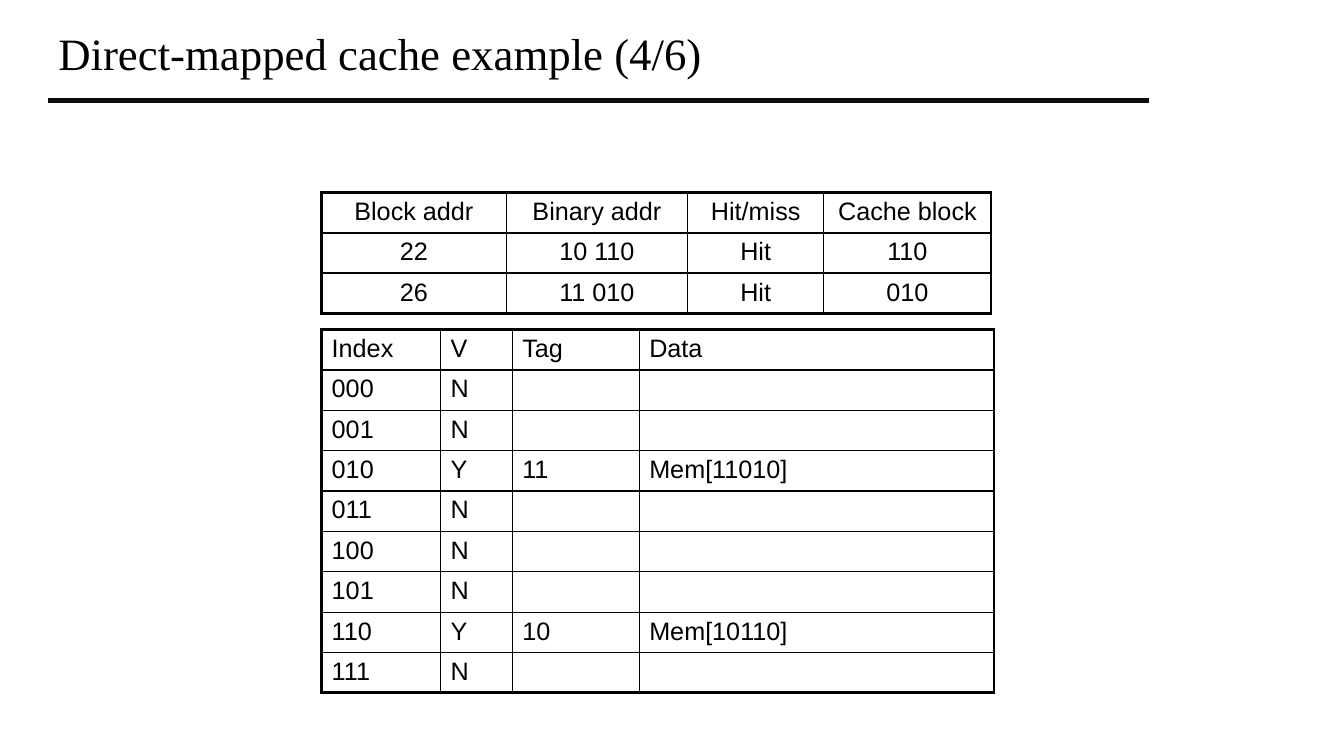
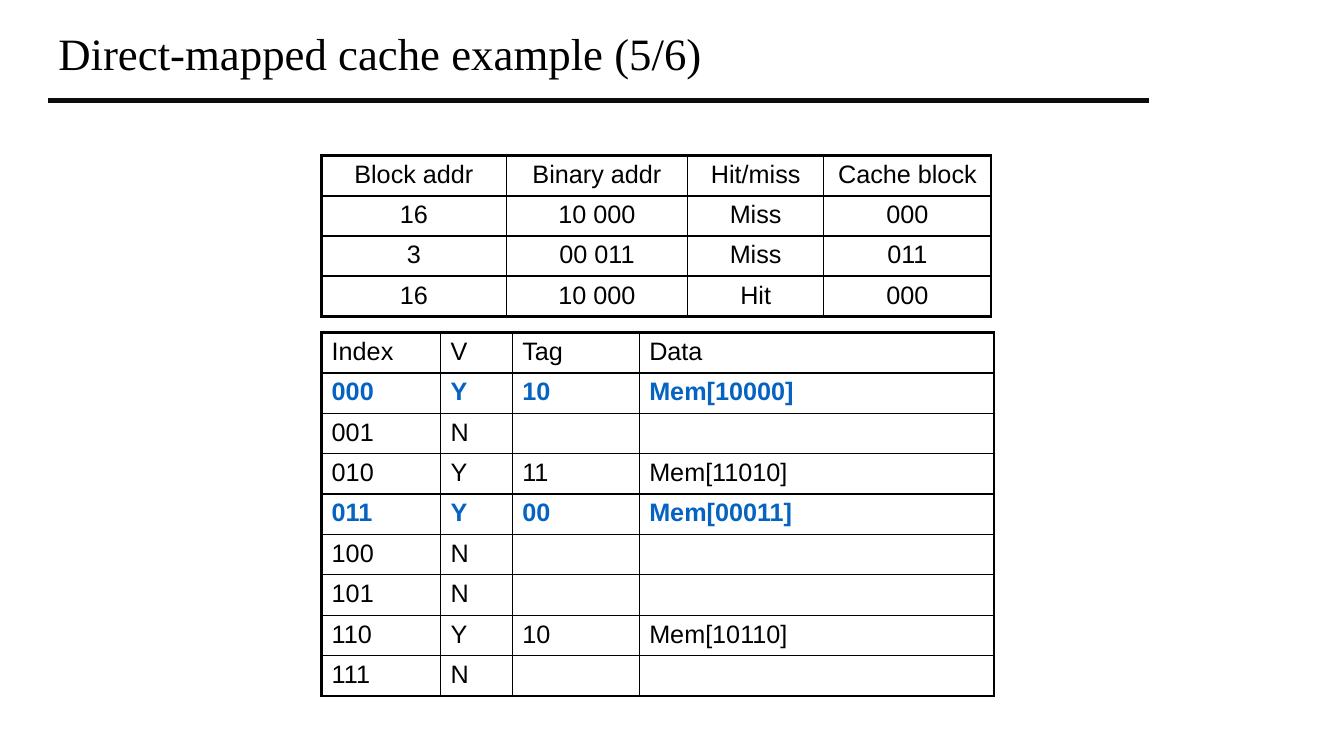
from dataclasses import dataclass

from lxml.etree import SubElement as Sub
from pptx import Presentation
from pptx.dml.color import RGBColor as RGB
from pptx.enum.shapes import MSO_CONNECTOR as Conn
from pptx.enum.text import MSO_ANCHOR as Anchor, PP_ALIGN as Align
from pptx.oxml.ns import qn
from pptx.util import Inches, Pt


@dataclass(frozen=True)
class Theme:
    ink: str = "000000"
    rule: str = "0C0C0C"
    mark: str = "0563C1"
    head: str = "Times New Roman"
    body: str = "Arial"
    head_size: int = 32
    body_size: int = 18
    thick: float = 2.25
    mid: float = 1.5
    thin: float = 1
    rule_width: float = 3.75


THEME = Theme()

# Content
ADDR_HEAD = ("Block addr", "Binary addr", "Hit/miss", "Cache block")
CACHE_HEAD = ("Index", "V", "Tag", "Data")
SLIDES = [
    {
        "title": "Direct-mapped cache example (4/6)",
        "addr_top": 1.91,
        "addr": [("22", "10 110", "Hit", "110"),
                 ("26", "11 010", "Hit", "010")],
        "cache_top": 3.27,
        "cache": {"010": ("11", "Mem[11010]"),
                  "110": ("10", "Mem[10110]")},
        "new": (),
    },
    {
        "title": "Direct-mapped cache example (5/6)",
        "addr_top": 1.54,
        "addr": [("16", "10 000", "Miss", "000"),
                 ("3", "00 011", "Miss", "011"),
                 ("16", "10 000", "Hit", "000")],
        "cache_top": 3.3,
        "cache": {"000": ("10", "Mem[10000]"),
                  "010": ("11", "Mem[11010]"),
                  "011": ("00", "Mem[00011]"),
                  "110": ("10", "Mem[10110]")},
        "new": ("000", "011"),
    },
]

# Layout, in inches
LEFT, ROW = 3.19, 0.4
ADDR_COLS = (1.83, 1.8, 1.35, 1.66)
CACHE_COLS = (1.18, 0.71, 1.26, 3.52)


def style(font, name, size, color, bold=False):
    font.name, font.size, font.bold = name, Pt(size), bold
    font.color.rgb = RGB.from_string(color)


def add_title(slide, text):
    box = slide.shapes.add_textbox(
        Inches(0.48), Inches(0.13), Inches(10.8), Inches(0.86))
    frame = box.text_frame
    frame.word_wrap = True
    frame.vertical_anchor = Anchor.MIDDLE
    para = frame.paragraphs[0]
    para.text = text
    para.line_spacing = 0.9
    style(para.font, THEME.head, THEME.head_size, THEME.ink)

    rule = slide.shapes.add_connector(
        Conn.STRAIGHT, Inches(0.48), Inches(1), Inches(11.4), Inches(1))
    rule.line.color.rgb = RGB.from_string(THEME.rule)
    rule.line.width = Pt(THEME.rule_width)
    Sub(rule._element.spPr, qn("a:effectLst"))


def set_edges(cell, edges):
    # Borders must come before the fill in the cell properties
    props = cell._tc.get_or_add_tcPr()
    for side, width in zip("LRTB", edges):
        line = Sub(props, qn(f"a:ln{side}"), w=str(Pt(width)))
        fill = Sub(line, qn("a:solidFill"))
        Sub(fill, qn("a:srgbClr"), val=THEME.ink)
    cell.fill.background()


def add_grid(slide, top, cols, rows, align, inner, new=()):
    grid = slide.shapes.add_table(
        len(rows), len(cols), Inches(LEFT), Inches(top),
        Inches(sum(cols)), Inches(ROW * len(rows))).table
    grid.first_row = grid.horz_banding = False
    for col, width in zip(grid.columns, cols):
        col.width = Inches(width)

    # Line widths: thick frame, medium under the header, inner elsewhere
    across = ([THEME.thick, THEME.mid] + [inner] * (len(rows) - 2)
              + [THEME.thick])
    down = [THEME.thick] + [THEME.thin] * (len(cols) - 1) + [THEME.thick]
    for r, row in enumerate(rows):
        grid.rows[r].height = Inches(ROW)
        fresh = row[0] in new
        for c, text in enumerate(row):
            cell = grid.cell(r, c)
            para = cell.text_frame.paragraphs[0]
            if text:
                para.text = text
            para.alignment = align
            style(para.font, THEME.body, THEME.body_size,
                  THEME.mark if fresh else THEME.ink, fresh)
            set_edges(cell, (*down[c:c + 2], *across[r:r + 2]))


def cache_rows(held):
    rows = [CACHE_HEAD]
    for n in range(8):
        index = f"{n:03b}"
        valid = "Y" if index in held else "N"
        rows.append((index, valid, *held.get(index, ("", ""))))
    return rows


def main():
    deck = Presentation()
    deck.slide_width, deck.slide_height = Inches(13.33), Inches(7.5)
    for data in SLIDES:
        slide = deck.slides.add_slide(deck.slide_layouts[6])
        add_title(slide, data["title"])
        add_grid(slide, data["cache_top"], CACHE_COLS,
                 cache_rows(data["cache"]), Align.LEFT, THEME.thin,
                 data["new"])
        add_grid(slide, data["addr_top"], ADDR_COLS,
                 [ADDR_HEAD, *data["addr"]], Align.CENTER, THEME.mid)
    deck.save("out.pptx")


if __name__ == "__main__":
    main()
